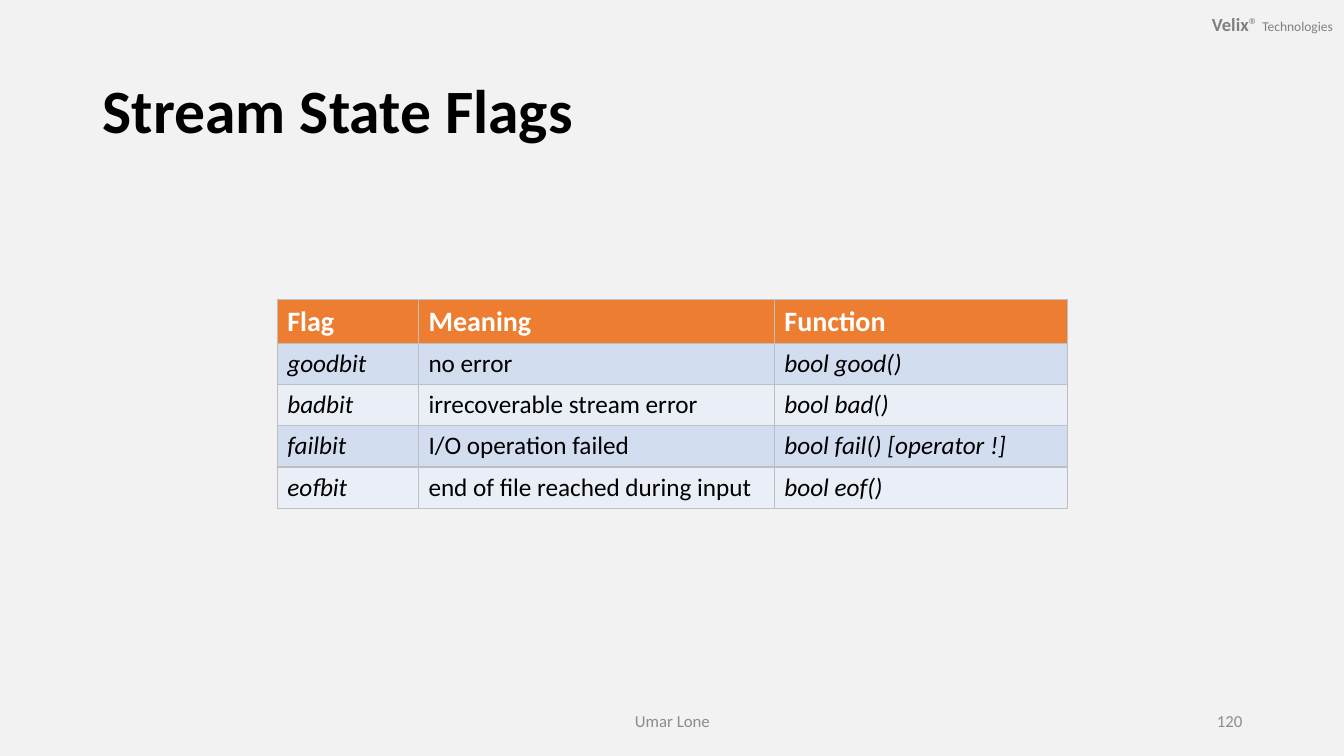
"""Build the Stream State Flags slide with its table of flags, meanings and functions."""
from lxml import etree
from pptx import Presentation
from pptx.dml.color import RGBColor as RGB
from pptx.enum.text import MSO_ANCHOR as ANCHOR, MSO_AUTO_SIZE as AUTOSIZE, PP_ALIGN as ALIGN
from pptx.oxml.ns import qn
from pptx.util import Inches, Pt

COLORS = {
    "background": "F2F2F2", "title": "000000", "brand": "808080", "footer": "8C8C8C",
    "header": "ED7D31", "header_text": "FFFFFF", "text": "000000",
    "odd_row": "D2DEEF", "even_row": "EAEFF7", "border": "BFBFBF",
}


def set_font(font, size, color, bold=False, italic=False):
    font.name, font.size = "Calibri", Pt(size)
    font.bold, font.italic = bold, italic
    font.color.rgb = RGB.from_string(COLORS[color])


def add_text(box, align):
    tf = s.shapes.add_textbox(*map(Inches, box)).text_frame
    tf.word_wrap = True
    tf.vertical_anchor = ANCHOR.MIDDLE
    tf.paragraphs[0].alignment = align
    return tf


prs = Presentation()
prs.slide_width, prs.slide_height = Inches(13.33), Inches(7.5)
s = prs.slides.add_slide(prs.slide_layouts[5])
s.background.fill.solid()
s.background.fill.fore_color.rgb = RGB.from_string(COLORS["background"])

tf = add_text((11.41, 0.01, 1.93, 0.45), ALIGN.RIGHT)
tf.margin_left = tf.margin_right = Inches(0.12)
tf.margin_top = tf.margin_bottom = Inches(0.06)
for text, size, bold in [("Velix", 13.2, True), ("® ", 13.2, False), ("Technologies", 9.6, False)]:
    r = tf.paragraphs[0].add_run()
    r.text = text
    set_font(r.font, size, "brand", bold)

title = s.shapes.title
title.left, title.top, title.width, title.height = map(Inches, (0.92, 0.4, 11.5, 1.45))
tf = title.text_frame
tf.text = "Stream State Flags"
tf.auto_size = AUTOSIZE.NONE
tf.vertical_anchor = ANCHOR.MIDDLE
p = tf.paragraphs[0]
p.alignment, p.line_spacing = ALIGN.LEFT, 0.9
set_font(p.font, 44, "title", bold=True)

rows = [
    ("Flag", "Meaning", "Function"),
    ("goodbit", "no error", "bool good()"),
    ("badbit", "irrecoverable stream error", "bool bad()"),
    ("failbit", "I/O operation failed", "bool fail() [operator !]"),
    ("eofbit", "end of file reached during input", "bool eof()"),
]
col_widths = (1.4, 3.53, 2.91)
table = s.shapes.add_table(len(rows), len(col_widths), Inches(2.75), Inches(2.97),
                           Inches(7.84), Inches(2.06)).table
for col, width in zip(table.columns, col_widths):
    col.width = Inches(width)
for i, row in enumerate(rows):
    header = i == 0
    table.rows[i].height = Inches(0.43 if header else 0.41)
    fill = "header" if header else "odd_row" if i % 2 else "even_row"
    for j, text in enumerate(row):
        cell = table.cell(i, j)
        cell.text = text
        cell.fill.solid()
        cell.fill.fore_color.rgb = RGB.from_string(COLORS[fill])
        font = cell.text_frame.paragraphs[0].font
        if header:
            set_font(font, 20, "header_text", bold=True)
        else:
            set_font(font, 18, "text", italic=j != 1)
        tc_pr = cell._tc.get_or_add_tcPr()
        for k, side in enumerate(("lnL", "lnR", "lnT", "lnB")):
            ln = etree.Element(qn(f"a:{side}"), w=str(Pt(1)))
            solid = etree.SubElement(ln, qn("a:solidFill"))
            etree.SubElement(solid, qn("a:srgbClr"), val=COLORS["border"])
            tc_pr.insert(k, ln)

for text, left, width, align in [("Umar Lone", 4.42, 4.5, ALIGN.CENTER),
                                 ("120", 9.42, 3, ALIGN.RIGHT)]:
    p = add_text((left, 6.95, width, 0.4), align).paragraphs[0]
    p.text = text
    set_font(p.font, 12, "footer")

prs.save("out.pptx")
